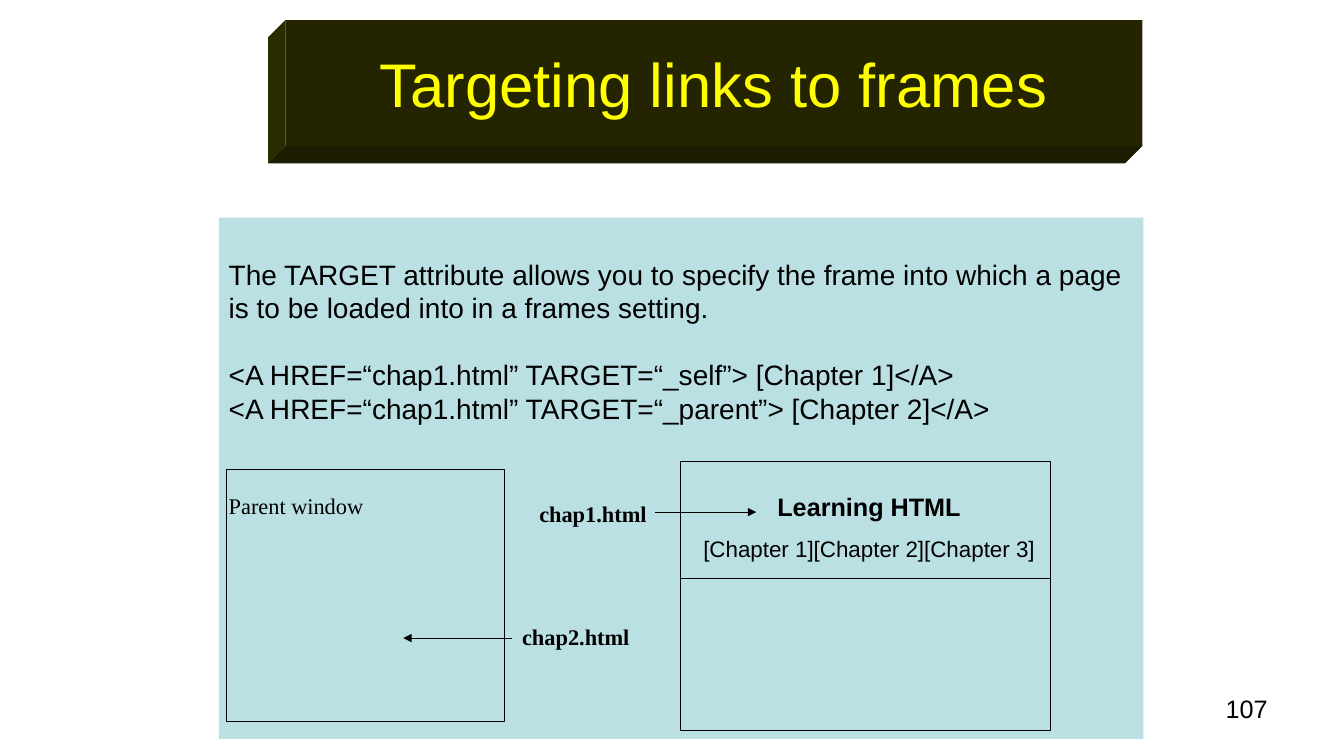
import pptx
import pptx.util
import pptx.dml.color
import pptx.enum.shapes
import pptx.enum.text
import pptx.oxml
import pptx.oxml.ns
from pptx.util import Inches

RGBColor = pptx.dml.color.RGBColor
ALIGN = pptx.enum.text.PP_ALIGN
ANCHOR = pptx.enum.text.MSO_ANCHOR
BLACK = RGBColor(0x00, 0x00, 0x00)
YELLOW = RGBColor(0xFF, 0xFF, 0x00)
PALE_TEAL = RGBColor(0xBB, 0xE0, 0xE3)
OLIVE_FRONT = RGBColor(0x24, 0x24, 0x00)
OLIVE_LEFT = RGBColor(0x2B, 0x2B, 0x00)
OLIVE_BOTTOM = RGBColor(0x1C, 0x1C, 0x00)
SANS = "Arial"
SERIF = "Times New Roman"


class SlideBuilder:
    def __init__(self, slide, line_width=0.75):
        self.shapes = slide.shapes
        self.line_width = pptx.util.Pt(line_width)

    def paint(self, shape, fill=None, line=None):
        shape.shadow.inherit = False
        if fill is None:
            shape.fill.background()
        else:
            shape.fill.solid()
            shape.fill.fore_color.rgb = fill
        if line is None:
            shape.line.fill.background()
        else:
            shape.line.color.rgb = line
            shape.line.width = self.line_width
        return shape

    def box(self, left, top, width, height, fill=None, line=None):
        shape = self.shapes.add_shape(
            pptx.enum.shapes.MSO_SHAPE.RECTANGLE,
            Inches(left), Inches(top), Inches(width), Inches(height))
        return self.paint(shape, fill, line)

    def polygon(self, points, fill):
        corners = [(Inches(x), Inches(y)) for x, y in points]
        outline = self.shapes.build_freeform(*corners[0])
        outline.add_line_segments(corners[1:], close=True)
        return self.paint(outline.convert_to_shape(), fill)

    def label(self, left, top, width, height, paragraphs, align=ALIGN.LEFT):
        text_box = self.shapes.add_textbox(
            Inches(left), Inches(top), Inches(width), Inches(height))
        self.set_text(text_box, paragraphs, align)
        return text_box

    def set_text(self, shape, paragraphs, align=ALIGN.LEFT, anchor=ANCHOR.TOP):
        frame = shape.text_frame
        frame.word_wrap = True
        frame.vertical_anchor = anchor
        frame.text = "\n".join(entry[0] for entry in paragraphs)
        for paragraph, (_, size, font, color, bold, before) in zip(
                frame.paragraphs, paragraphs):
            paragraph.alignment = align
            if before:
                paragraph.space_before = pptx.util.Pt(before)
            for run in paragraph.runs:
                run.font.size = pptx.util.Pt(size)
                run.font.name = font
                run.font.bold = bold
                run.font.color.rgb = color

    def line(self, start, end, arrow=False):
        connector = self.shapes.add_connector(
            pptx.enum.shapes.MSO_CONNECTOR.STRAIGHT,
            *(Inches(value) for value in start + end))
        connector.line.color.rgb = BLACK
        connector.line.width = self.line_width
        properties = connector._element.spPr
        if arrow:
            outline = properties.find(pptx.oxml.ns.qn("a:ln"))
            outline.append(pptx.oxml.parse_xml(
                '<a:tailEnd %s type="triangle" w="med" len="med"/>'
                % pptx.oxml.ns.nsdecls("a")))
        properties.append(pptx.oxml.parse_xml(
            "<a:effectLst %s/>" % pptx.oxml.ns.nsdecls("a")))
        return connector


def main():
    presentation = pptx.Presentation()
    presentation.slide_width = Inches(13.33)
    presentation.slide_height = Inches(7.5)
    builder = SlideBuilder(
        presentation.slides.add_slide(presentation.slide_layouts[6]))

    builder.label(9.56, 6.83, 3.11, 0.52,
                  [("107", 18, SANS, BLACK, False, 0)], ALIGN.RIGHT)

    left, top, width, height, depth = 2.83, 0.2, 8.5, 1.25, 0.17
    right, bottom = left + width, top + height
    builder.polygon([(left, top), (left, bottom),
                     (left - depth, bottom + depth),
                     (left - depth, top + depth)], OLIVE_LEFT)
    builder.polygon([(left, bottom), (right, bottom),
                     (right - depth, bottom + depth),
                     (left - depth, bottom + depth)], OLIVE_BOTTOM)
    title = builder.box(left, top, width, height, OLIVE_FRONT)
    builder.set_text(title, [
        ("Targeting links to frames", 44, SANS, YELLOW, False, 0),
    ], ALIGN.CENTER, ANCHOR.MIDDLE)

    explanation = builder.box(2.17, 2.16, 9.17, 5.17, PALE_TEAL)
    explanation.text_frame.margin_top = Inches(0.39)
    builder.set_text(explanation, [
        ("The TARGET attribute allows you to specify the frame into which "
         "a page is to be loaded into in a frames setting.",
         20, SANS, BLACK, False, 0),
        ("<A HREF=“chap1.html” TARGET=“_self”> [Chapter 1]</A>",
         20, SANS, BLACK, False, 24),
        ("<A HREF=“chap1.html” TARGET=“_parent”> [Chapter 2]</A>",
         20, SANS, BLACK, False, 0),
        ("Parent window", 16, SERIF, BLACK, False, 48),
    ])

    builder.label(6.83, 4.83, 3.58, 0.8, [
        ("Learning HTML", 18, SANS, BLACK, True, 0),
        ("[Chapter 1][Chapter 2][Chapter 3]", 16, SANS, BLACK, False, 9),
    ], ALIGN.CENTER)
    builder.box(6.75, 4.58, 3.67, 2.67, line=BLACK)
    builder.line((6.75, 5.74), (10.42, 5.74))

    builder.label(5.25, 4.91, 1.42, 0.4,
                  [("chap1.html", 16, SERIF, BLACK, True, 0)])
    chapter_two = builder.label(5.08, 6.13, 1.42, 0.4,
                                [("chap2.html", 16, SERIF, BLACK, True, 0)])
    parent_arrow = builder.line((5.08, 6.33), (4, 6.33), arrow=True)
    parent_arrow.begin_connect(chapter_two, 1)
    builder.line((6.5, 5.08), (7.5, 5.08), arrow=True)
    builder.box(2.25, 4.66, 2.75, 2.5, line=BLACK)

    presentation.save("out.pptx")


if __name__ == "__main__":
    main()
